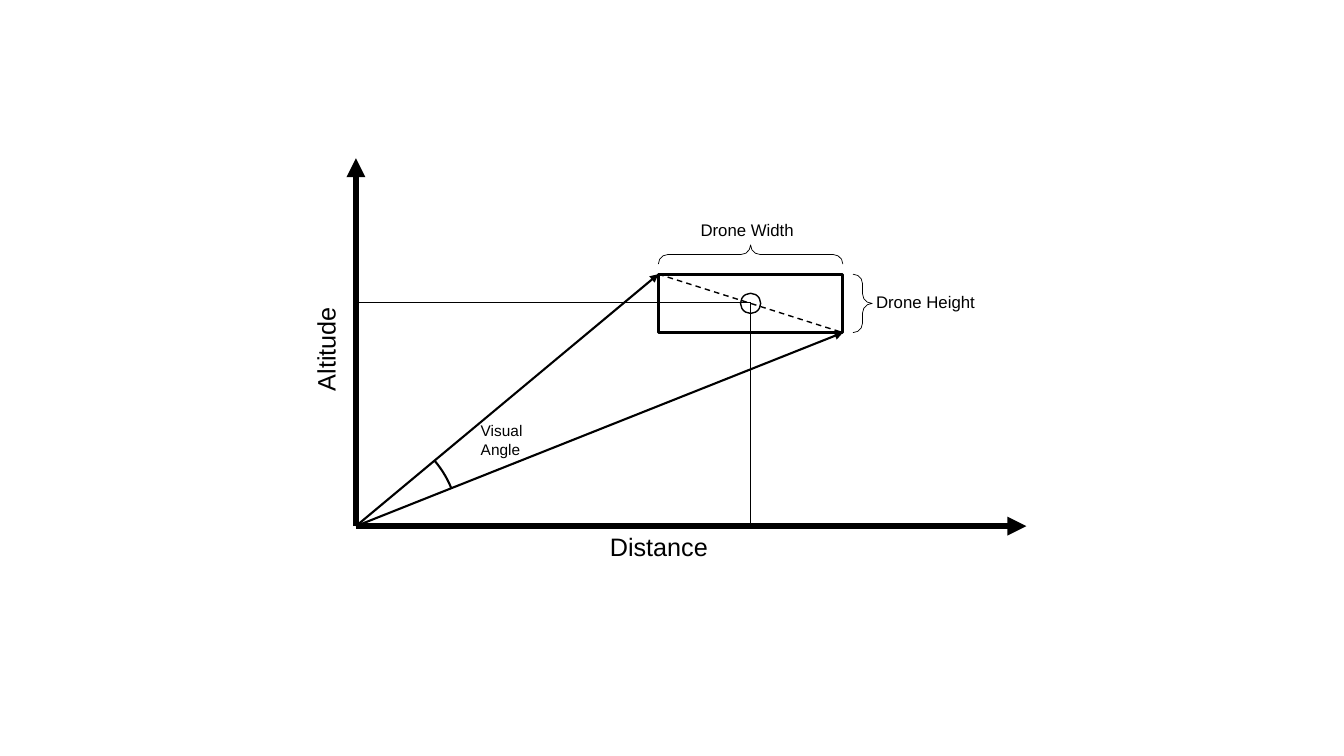
from lxml import etree
from pptx import Presentation
from pptx.dml.color import RGBColor
from pptx.enum.dml import MSO_LINE
from pptx.enum.shapes import MSO_CONNECTOR, MSO_SHAPE
from pptx.enum.text import MSO_AUTO_SIZE
from pptx.oxml.ns import qn
from pptx.util import Inches, Pt

STRAIGHT = MSO_CONNECTOR.STRAIGHT
RECT, OVAL = MSO_SHAPE.RECTANGLE, MSO_SHAPE.OVAL
ARC, BRACE = MSO_SHAPE.ARC, MSO_SHAPE.LEFT_BRACE
DASH = MSO_LINE.DASH
FIT = MSO_AUTO_SIZE.SHAPE_TO_FIT_TEXT

INK = "000000"
FONT = "Arial"

# Key points of the diagram
ORIGIN_X, ORIGIN_Y = 3.53, 5.22
DRONE_X, DRONE_Y, DRONE_W, DRONE_H = 6.53, 2.72, 1.83, 0.58
CENTER_X, CENTER_Y = DRONE_X + DRONE_W / 2, DRONE_Y + DRONE_H / 2
BRACE_DEPTH = 0.19


def color(hex_code):
    return RGBColor.from_string(hex_code)


def style_line(line, width):
    line.color.rgb = color(INK)
    line.width = Pt(width)


def add_line(s, start, end, width, arrow=False, dash=None):
    c = s.shapes.add_connector(STRAIGHT, *map(Inches, start + end))
    style_line(c.line, width)
    if dash:
        c.line.dash_style = dash
    if arrow:
        etree.SubElement(c.line._get_or_add_ln(), qn("a:tailEnd"), type="triangle")
    etree.SubElement(c._element.spPr, qn("a:effectLst"))


def add_outline(s, kind, x, y, w, h, width, adjustments=()):
    sp = s.shapes.add_shape(kind, *map(Inches, (x, y, w, h)))
    sp.shadow.inherit = False
    sp.fill.background()
    style_line(sp.line, width)
    for i, value in enumerate(adjustments):
        sp.adjustments[i] = value
    return sp


def add_brace(s, x, y, length, rotation=0):
    sp = add_outline(s, BRACE, x, y, BRACE_DEPTH, length, 0.5, (0.5, 0.5))
    sp._element.spPr.find(qn("a:xfrm")).set("flipH", "1")
    sp.rotation = rotation


def add_label(s, text, x, y, w, h, size, vertical=False):
    sp = s.shapes.add_textbox(*map(Inches, (x, y, w, h)))
    tf = sp.text_frame
    tf.word_wrap = False
    tf.auto_size = FIT
    tf.text = text
    if vertical:
        tf._txBody.bodyPr.set("vert", "vert270")
    for p in tf.paragraphs:
        for r in p.runs:
            r.font.name = FONT
            r.font.size = Pt(size)
            r.font.color.rgb = color(INK)


def main():
    prs = Presentation()
    prs.slide_width, prs.slide_height = Inches(13.33), Inches(7.5)
    s = prs.slides.add_slide(prs.slide_layouts[6])
    origin = (ORIGIN_X, ORIGIN_Y)
    top_left = (DRONE_X, DRONE_Y)
    bottom_right = (DRONE_X + DRONE_W, DRONE_Y + DRONE_H)
    center = (CENTER_X, CENTER_Y)

    # Axes
    add_line(s, origin, (ORIGIN_X, 1.57), 4.5, arrow=True)
    add_line(s, origin, (10.18, ORIGIN_Y), 4.5, arrow=True)

    # Drone body with its diagonal
    add_outline(s, RECT, *top_left, DRONE_W, DRONE_H, 2.25)
    add_line(s, top_left, bottom_right, 1, dash=DASH)

    # Sight lines and the angle between them
    for corner in (top_left, bottom_right):
        add_line(s, origin, corner, 1.5, arrow=True)
    add_outline(s, ARC, 2.55, 4.22, 2, 2, 1.5, (191.49, 202.89))

    # Axis names
    add_label(s, "Distance", 5.95, 5.22, 1.18, 0.4, 18)
    add_label(s, "Altitude", 3.03, 3.04, 0.5, 0.94, 18, vertical=True)

    # Projections of the drone centre
    add_line(s, center, (CENTER_X, ORIGIN_Y), 0.75)
    add_line(s, (CENTER_X, 3), (3.55, 3), 0.75)
    add_outline(s, OVAL, CENTER_X - 0.1, CENTER_Y - 0.1, 0.2, 0.2, 1)

    # Dimensions
    add_brace(s, 8.46, DRONE_Y, DRONE_H)
    add_label(s, "Drone Height", 8.59, 2.85, 1.19, 0.3, 12)
    add_brace(s, CENTER_X - BRACE_DEPTH / 2, 1.61, DRONE_W, rotation=270)
    add_label(s, "Drone Width", 6.85, 2.13, 1.13, 0.3, 12)
    add_label(s, "Visual\nAngle", 4.67, 4.13, 0.67, 0.47, 11)

    prs.save("out.pptx")


if __name__ == "__main__":
    main()
